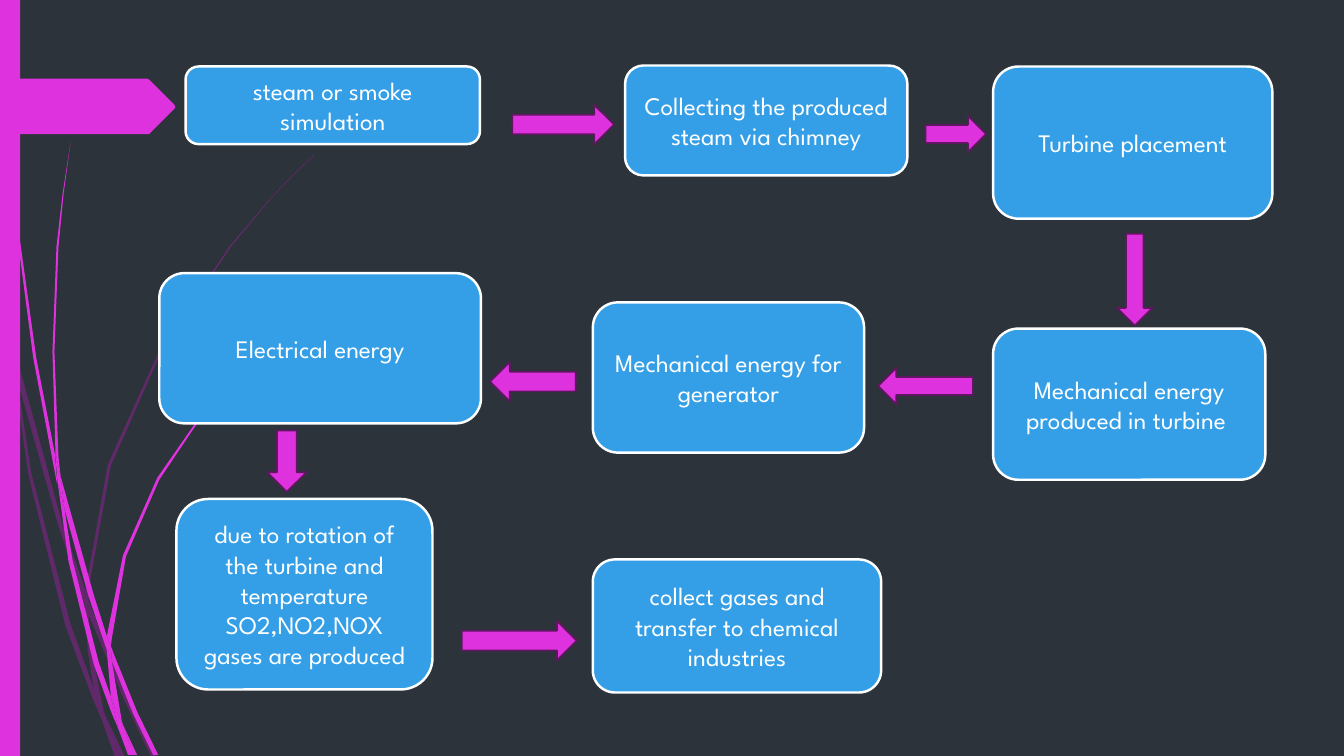
from lxml.etree import SubElement
from pptx import Presentation
from pptx.dml.color import RGBColor
from pptx.enum.shapes import MSO_SHAPE
from pptx.enum.text import MSO_ANCHOR, PP_ALIGN
from pptx.oxml.ns import qn
from pptx.util import Inches, Pt

DARK = RGBColor(0x2C, 0x33, 0x3A)
PINK = RGBColor(0xDE, 0x32, 0xDE)
PURPLE = RGBColor(0xB0, 0x1C, 0xB0)
PLUM = RGBColor(0x61, 0x16, 0x61)
BLUE = RGBColor(0x34, 0x9F, 0xE7)
WHITE = RGBColor(0xFF, 0xFF, 0xFF)

RIGHT, LEFT, DOWN = MSO_SHAPE.RIGHT_ARROW, MSO_SHAPE.LEFT_ARROW, MSO_SHAPE.DOWN_ARROW

PALE_BLADES = [
    [(0.11, 3.5), (0.09, 3.22), (0, 2.82), (0, 2.99), (0.1, 3.44)],
    [(0.58, 5.22), (0.84, 5.99), (0.85, 5.86), (0.62, 5.2), (0.14, 3.45), (0.17, 3.76)],
    [(0.92, 6.07), (0.88, 5.96), (0.88, 6.1), (1.23, 6.94), (1.5, 7.51), (1.55, 7.51),
     (1.27, 6.92)],
    [(1.19, 7.51), (1.24, 7.51), (1.05, 7.11)],
    [(0.93, 6.83), (0.7, 6.19), (0.31, 4.69), (0.17, 3.76), (0.11, 3.5), (0.28, 4.7),
     (0.65, 6.21), (0.92, 6.93), (1.01, 7.14), (0.99, 7.07)],
    [(0.84, 5.99), (0.87, 6.46), (0.93, 6.83), (0.96, 6.92), (1.05, 7.11), (1.03, 7.06),
     (0.91, 6.46), (0.88, 6.1), (0.88, 6.08)],
    [(0.88, 5.84), (1.1, 4.62), (1.6, 3.49), (2.29, 2.45), (2.68, 1.98), (2.9, 1.75),
     (3.12, 1.54), (3.12, 1.53), (2.89, 1.75), (2.68, 1.97), (2.28, 2.44), (1.58, 3.48),
     (1.07, 4.61), (0.85, 5.84), (0.85, 5.86), (0.88, 5.96)],
    [(1.01, 7.14), (1.14, 7.51), (1.19, 7.51)],
    [(0.88, 6.08), (0.88, 6.1), (0.88, 5.96), (0.85, 5.86), (0.84, 5.99)],
    [(0.96, 6.92), (0.93, 6.83), (0.99, 7.07), (1.01, 7.14), (1.19, 7.51), (1.05, 7.11)],
]
BRIGHT_BLADES = [
    [(0.07, 1.1), (0.17, 2.33), (0.33, 3.55), (0.56, 4.77), (0.57, 4.81), (0.55, 4.57),
     (0.55, 4.53), (0.36, 3.55), (0.19, 2.32), (0.08, 1.09), (0.05, 0.48), (0.04, 0),
     (0.03, 0), (0.04, 0.48)],
    [(0.88, 5.92), (1.06, 6.45), (1.06, 6.31), (0.93, 5.9), (0.6, 4.72), (0.64, 5.05)],
    [(1.13, 6.49), (1.1, 6.41), (1.11, 6.56), (1.32, 7.08), (1.52, 7.49), (1.57, 7.49),
     (1.36, 7.06)],
    [(1.1, 6.91), (0.98, 6.57), (0.72, 5.56), (0.64, 5.05), (0.57, 4.77), (0.68, 5.57),
     (0.93, 6.59), (1.11, 7.08), (1.17, 7.22), (1.16, 7.17)],
    [(0.6, 4.72), (0.58, 4.53), (0.54, 3.49), (0.58, 2.45), (0.63, 1.93), (0.7, 1.41),
     (0.62, 1.93), (0.56, 2.45), (0.52, 3.49), (0.55, 4.49)],
    [(1.33, 7.49), (1.36, 7.49), (1.22, 7.19)],
    [(0.57, 4.77), (0.64, 5.05), (0.6, 4.72), (0.55, 4.49), (0.55, 4.53)],
    [(1.11, 6.33), (1.25, 5.52), (1.58, 4.76), (2.05, 4.06), (2.31, 3.74), (2.45, 3.59),
     (2.61, 3.44), (2.6, 3.44), (2.45, 3.58), (2.31, 3.73), (2.04, 4.05), (1.56, 4.74),
     (1.22, 5.51), (1.06, 6.31), (1.1, 6.41)],
    [(1.17, 7.22), (1.27, 7.49), (1.31, 7.49)],
    [(1.06, 6.45), (1.1, 6.91), (1.16, 7.06), (1.22, 7.19), (1.21, 7.16), (1.11, 6.56),
     (1.09, 6.51)],
    [(1.06, 6.45), (1.09, 6.51), (1.11, 6.56), (1.1, 6.41), (1.06, 6.31)],
    [(1.16, 7.06), (1.1, 6.91), (1.16, 7.17), (1.17, 7.22), (1.3, 7.49), (1.33, 7.49),
     (1.22, 7.19)],
]
TAG = [(0, 0.78), (1.46, 0.78), (1.48, 0.79), (1.73, 1.04), (1.74, 1.06), (1.73, 1.08),
       (1.48, 1.33), (0, 1.33)]
STEPS = [
    (1.84, 0.66, 2.92, 0.77, "steam or smoke simulation"),
    (6.2, 0.65, 2.8, 1.09, "Collecting the produced steam via\u00a0chimney"),
    (9.85, 3.26, 2.7, 1.5, "Mechanical energy produced in turbine "),
    (9.85, 0.66, 2.77, 1.51, "Turbine placement"),
    (5.88, 3, 2.69, 1.49, "Mechanical energy for generator"),
    (1.58, 2.71, 3.19, 1.49, "Electrical energy"),
    (1.75, 4.95, 2.54, 1.89,
     "due to rotation of the turbine and temperature SO2,NO2,NOX gases are produced"),
    (5.88, 5.55, 2.86, 1.32, "collect gases and transfer to chemical industries"),
]
ARROWS = [
    (RIGHT, 5.08, 1.04, 1.01, 0.39),
    (RIGHT, 9.18, 1.15, 0.6, 0.36),
    (DOWN, 11.08, 2.32, 0.35, 0.91),
    (LEFT, 8.71, 3.65, 0.94, 0.36),
    (LEFT, 4.86, 3.59, 0.85, 0.39),
    (DOWN, 2.65, 4.27, 0.39, 0.61),
    (RIGHT, 4.58, 6.16, 1.14, 0.39),
]


class FlowSlide:
    """Hold the slide and its style, and draw each kind of element."""

    font, size = "League Spartan", Pt(18)

    def __init__(self, prs):
        self.s = prs.slides.add_slide(prs.slide_layouts[6])
        self.s.background.fill.solid()
        self.s.background.fill.fore_color.rgb = DARK

    def paint(self, sp, fill, line=None, width=0):
        sp.shadow.inherit = False
        sp.fill.solid()
        sp.fill.fore_color.rgb = fill
        if line is None:
            sp.line.fill.background()
        else:
            sp.line.color.rgb = line
            sp.line.width = Pt(width)
        return sp

    def shape(self, kind, x, y, w, h, fill, line=None, width=0):
        sp = self.s.shapes.add_shape(kind, Inches(x), Inches(y), Inches(w), Inches(h))
        return self.paint(sp, fill, line, width)

    def outline(self, points, fill, alpha=None):
        points = [(Inches(x), Inches(y)) for x, y in points]
        builder = self.s.shapes.build_freeform(*points[0])
        builder.add_line_segments(points[1:], close=True)
        sp = self.paint(builder.convert_to_shape(), fill)
        if alpha is not None:
            color = sp.element.spPr.find(qn("a:solidFill"))[0]
            SubElement(color, qn("a:alpha")).set("val", str(alpha * 1000))

    def step(self, x, y, w, h, text):
        sp = self.shape(MSO_SHAPE.ROUNDED_RECTANGLE, x, y, w, h, BLUE, WHITE, 1.75)
        tf = sp.text_frame
        tf.word_wrap = True
        tf.vertical_anchor = MSO_ANCHOR.MIDDLE
        p = tf.paragraphs[0]
        p.text = text
        p.alignment = PP_ALIGN.CENTER
        p.font.name, p.font.size = self.font, self.size
        p.font.color.rgb = WHITE

    def arrow(self, kind, x, y, w, h):
        self.shape(kind, x, y, w, h, PINK, PLUM, 1.25)


prs = Presentation()
prs.slide_width, prs.slide_height = Inches(13.33), Inches(7.5)
flow = FlowSlide(prs)
for blade in PALE_BLADES:
    flow.outline(blade, PURPLE, alpha=40)
for blade in BRIGHT_BLADES:
    flow.outline(blade, PINK)
flow.shape(MSO_SHAPE.RECTANGLE, 0, 0, 0.2, 7.5, PINK)
flow.outline(TAG, PINK)
for step in STEPS:
    flow.step(*step)
for arrow in ARROWS:
    flow.arrow(*arrow)
prs.save("out.pptx")
